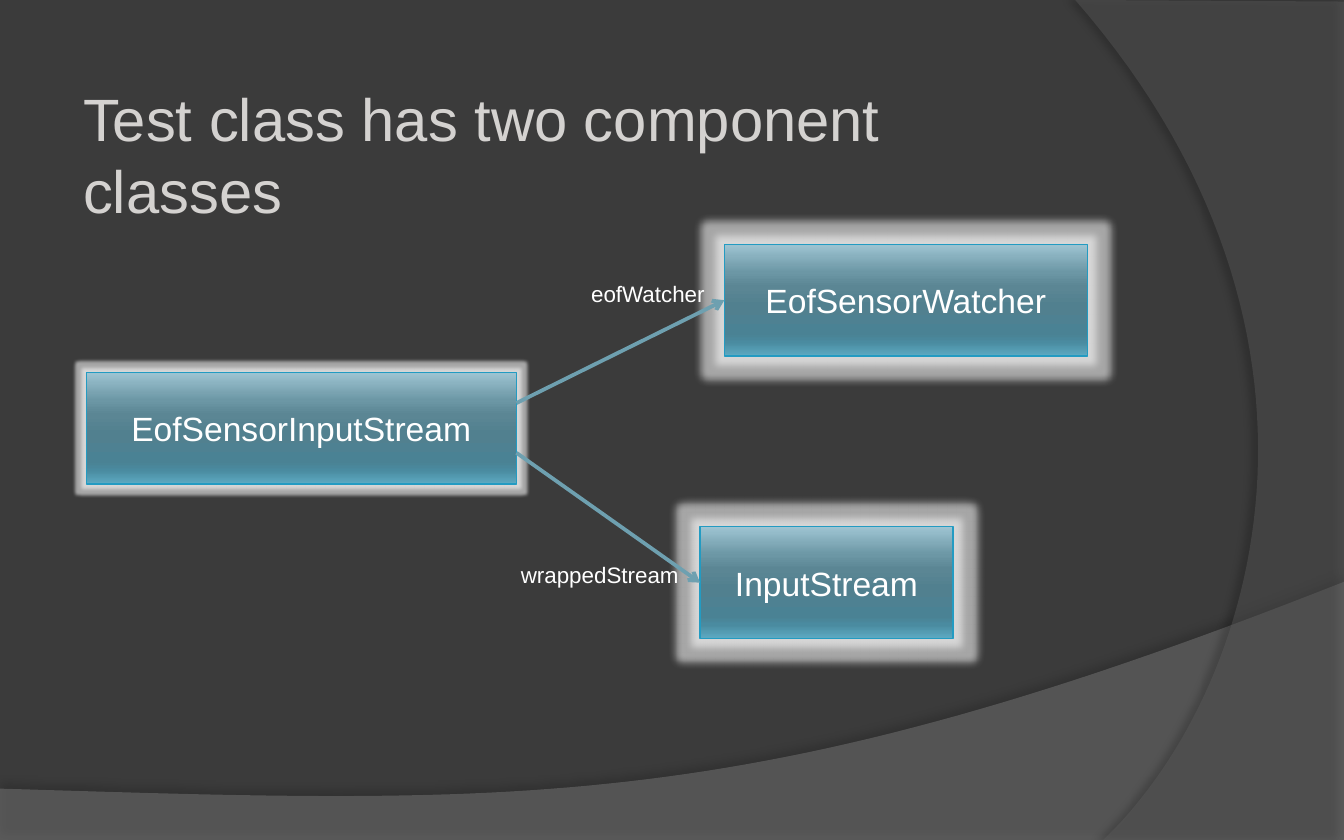
"""Build a slide linking a test class to its two component classes."""
from lxml.etree import SubElement
from pptx import Presentation
from pptx.dml.color import RGBColor
from pptx.enum.shapes import MSO_CONNECTOR, MSO_SHAPE
from pptx.enum.text import MSO_ANCHOR, PP_ALIGN
from pptx.oxml.ns import qn
from pptx.util import Cm, Pt

COLORS = {
    "background": "3B3B3B", "wave": "7F7F7F", "arc": "5E5E5E",
    "title": "D4D2D0", "text": "FFFFFF", "outline": "239BC2",
    "arrow": "6EA0B0", "glow": "FFFFFF", "shadow": "000000",
}
GRADIENT = [(0, "9EC4D2"), (25, "6C97A5"), (38, "5B8694"), (55, "51808F"),
            (80, "4A8294"), (88, "4A8BA0"), (100, "5DAAC2")]


def add_effect(s, kind, color, alpha, **attrs):
    s.shadow.inherit = False
    effects = s._element.spPr.find(qn("a:effectLst"))
    effect = SubElement(effects, qn(f"a:{kind}"), {k: str(v) for k, v in attrs.items()})
    clr = SubElement(effect, qn("a:srgbClr"), val=COLORS[color])
    SubElement(clr, qn("a:alpha"), val=str(alpha * 1000))


def write(s, text, size, color, align):
    tf = s.text_frame
    tf.word_wrap = True
    p = tf.paragraphs[0]
    p.text = text
    p.alignment = align
    p.font.name = "Arial"
    p.font.size = Pt(size)
    p.font.color.rgb = RGBColor.from_string(COLORS[color])
    return tf


prs = Presentation()
prs.slide_width, prs.slide_height = Cm(25.4), Cm(15.88)
slide = prs.slides.add_slide(prs.slide_layouts[6])
slide.background.fill.solid()
slide.background.fill.fore_color.rgb = RGBColor.from_string(COLORS["background"])
shapes = slide.shapes

swooshes = [
    ("wave", 45, 35, 3.5, 270, [(0, 14.91), (0, 15.88), (25.4, 15.88)],
     [(25.4, 11), (14.2, 15.44), (9.93, 15.21), (0, 14.91)]),
    ("arc", 40, 45, 4, 180, [(25.4, 0.03), (25.4, 15.88)],
     [(20.85, 15.88), (23.75, 13.11), (25.86, 6.35), (20.32, 0)]),
]
STEPS = 60
for name, alpha, shade, dist, angle, corners, curve in swooshes:
    points = list(corners)
    for i in range(STEPS + 1):
        t = i / STEPS
        weights = ((1 - t) ** 3, 3 * t * (1 - t) ** 2, 3 * t ** 2 * (1 - t), t ** 3)
        points.append([sum(w * c[axis] for w, c in zip(weights, curve)) for axis in (0, 1)])
    outline = [(Cm(x), Cm(y)) for x, y in points]
    builder = shapes.build_freeform(*outline[0])
    builder.add_line_segments(outline[1:], close=True)
    s = builder.convert_to_shape()
    s.fill.solid()
    s.fill.fore_color.rgb = RGBColor.from_string(COLORS[name])
    clr = s._element.spPr.find(f"{qn('a:solidFill')}/{qn('a:srgbClr')}")
    SubElement(clr, qn("a:alpha"), val=str(alpha * 1000))
    s.line.fill.background()
    add_effect(s, "outerShdw", "shadow", shade, blurRad=Pt(4), dist=Pt(dist),
               dir=angle * 60000, algn="ctr", rotWithShape=0)

boxes = {}
for text, x, y, width, glow in [
    ("EofSensorInputStream", 1.63, 7.04, 8.13, 0.13),
    ("EofSensorWatcher", 13.69, 4.62, 6.86, 0.3),
    ("InputStream", 13.23, 9.96, 4.78, 0.3),
]:
    s = shapes.add_shape(MSO_SHAPE.RECTANGLE, Cm(x), Cm(y), Cm(width), Cm(2.11))
    s.fill.gradient()
    s.fill.gradient_angle = 270
    stops = s._element.spPr.find(f"{qn('a:gradFill')}/{qn('a:gsLst')}")
    for stop in list(stops):
        stops.remove(stop)
    for position, color in GRADIENT:
        stop = SubElement(stops, qn("a:gs"), pos=str(position * 1000))
        SubElement(stop, qn("a:srgbClr"), val=color)
    s.line.color.rgb = RGBColor.from_string(COLORS["outline"])
    s.line.width = Pt(0.75)
    add_effect(s, "glow", "glow", 55, rad=Cm(glow))
    tf = write(s, text, 18, "text", PP_ALIGN.CENTER)
    tf.vertical_anchor = MSO_ANCHOR.MIDDLE
    boxes[text] = s

source = boxes["EofSensorInputStream"]
for target, y in [("EofSensorWatcher", 7.62), ("InputStream", 8.56)]:
    s = shapes.add_connector(MSO_CONNECTOR.STRAIGHT, source.left + source.width, Cm(y), 0, 0)
    s.end_connect(boxes[target], 1)
    s.line.color.rgb = RGBColor.from_string(COLORS["arrow"])
    s.line.width = Pt(2)
    spPr = s._element.spPr
    SubElement(spPr.find(qn("a:ln")), qn("a:tailEnd"), type="arrow")
    SubElement(spPr, qn("a:effectLst"))

for text, x, y, width, height, size, color, align in [
    ("eofWatcher", 10.52, 5.18, 3.05, 0.76, 12, "text", PP_ALIGN.RIGHT),
    ("wrappedStream", 9.4, 10.49, 3.68, 0.76, 12, "text", PP_ALIGN.RIGHT),
    ("Test class has two component classes", 1.32, 1.42, 16.48, 3, 32, "title", PP_ALIGN.LEFT),
]:
    s = shapes.add_textbox(Cm(x), Cm(y), Cm(width), Cm(height))
    write(s, text, size, color, align)

prs.save("out.pptx")
